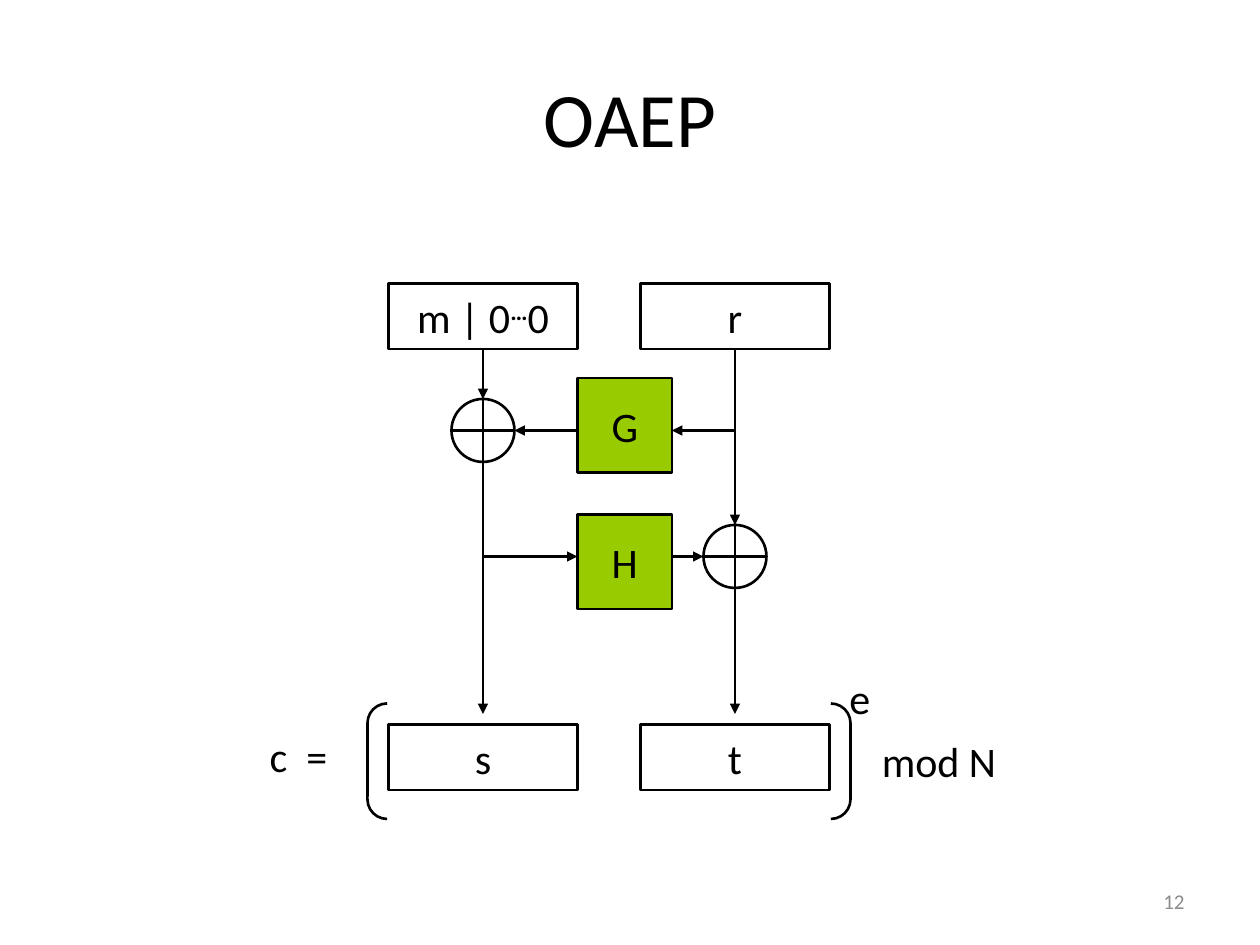
from lxml import etree
from pptx import Presentation
from pptx.dml.color import RGBColor
from pptx.enum.shapes import MSO_CONNECTOR, MSO_SHAPE
from pptx.enum.text import MSO_ANCHOR, PP_ALIGN
from pptx.oxml.ns import qn
from pptx.util import Inches, Pt

RECT, OVAL, PAIR = MSO_SHAPE.RECTANGLE, MSO_SHAPE.OVAL, MSO_SHAPE.DOUBLE_BRACKET
LINE = MSO_CONNECTOR.STRAIGHT
LEFT, MID, RIGHT = PP_ALIGN.LEFT, PP_ALIGN.CENTER, PP_ALIGN.RIGHT
TOP, HALF = MSO_ANCHOR.TOP, MSO_ANCHOR.MIDDLE

THEME = {
    "font": "Calibri",
    "ink": RGBColor.from_string("000000"),
    "gray": RGBColor.from_string("8C8C8C"),
    "white": RGBColor.from_string("FFFFFF"),
    "green": RGBColor.from_string("99CC00"),
    "head": Pt(44),
    "body": Pt(24),
    "foot": Pt(12),
    "line": Pt(1.5),
}

deck = Presentation()
deck.slide_width, deck.slide_height = Inches(10), Inches(7.5)
slide = deck.slides.add_slide(deck.slide_layouts[6])
parts = slide.shapes
CELL = deck.slide_width / 120


def write(shape, runs, size="body", ink="ink", side=MID, hold=HALF, wrap=True):
    frame = shape.text_frame
    for key, val in {"word_wrap": wrap, "vertical_anchor": hold}.items():
        setattr(frame, key, val)
    para = frame.paragraphs[0]
    para.alignment = side
    for text, marks in runs:
        run = para.add_run()
        run.text = text
        for key, val in {"name": THEME["font"], "size": THEME[size]}.items():
            setattr(run.font, key, val)
        run.font.color.rgb = THEME[ink]
        for key, val in marks.items():
            run._r.get_or_add_rPr().set(key, val)


def wire(start, end, tip=False):
    line = parts.add_connector(LINE, *[round(n * CELL) for n in start + end])
    line.line.width = THEME["line"]
    line.line.color.rgb = THEME["ink"]
    if tip:
        etree.SubElement(line.line._get_or_add_ln(), qn("a:tailEnd"), type="triangle")
    etree.SubElement(line._element.spPr, qn("a:effectLst"))
    return line


COL_M, COL_R = 46, 70
ROW_G, ROW_H = 41, 53
ROW_IN, ROW_OUT, ROW_END = 27, 69, 68
WIDE, TALL, SIDE, RAD = 18, 6.25, 9, 3
BLOCK = 55
BASE = ROW_IN + TALL

labels = [
    ((6, 3.6, 108, 15), [("OAEP", {})], {"size": "head"}),
    ((86, 83.4, 28, 4.8), [("12", {})], {"size": "foot", "ink": "gray", "side": RIGHT}),
]
note = {"side": LEFT, "hold": TOP, "wrap": False}
labels += [
    ((79.7, 63.5, 4.4, 6), [("e", {})], note),
    ((82.8, 69.5, 13.4, 6), [("mod N", {})], note),
    ((24.5, 69, 8.9, 6), [("c", {}), (" ", {"spc": "540"}), ("=", {})], note),
]
for area, runs, look in labels:
    write(parts.add_textbox(*[round(n * CELL) for n in area]), runs, **look)

padded = [("m | 0", {}), ("…", {"b": "1", "baseline": "30000"}), ("0", {})]
nodes = [
    (RECT, (col - WIDE / 2, row, WIDE, TALL), "white", runs)
    for col, row, runs in [
        (COL_M, ROW_IN, padded),
        (COL_R, ROW_IN, [("r", {})]),
        (COL_M, ROW_OUT, [("s", {})]),
        (COL_R, ROW_OUT, [("t", {})]),
    ]
]
nodes += [
    (RECT, (BLOCK, row, SIDE, SIDE), "green", [(name, {})])
    for name, row in [("G", 36), ("H", 49)]
]
rings = [(COL_M, ROW_G), (COL_R, ROW_H)]
nodes += [
    (OVAL, (col - RAD, row - RAD, 2 * RAD, 2 * RAD), "white", [])
    for col, row in rings
]
nodes.append((PAIR, (35, 67, 46, 11), None, []))

made = []
for kind, area, fill, runs in nodes:
    shape = parts.add_shape(kind, *[round(n * CELL) for n in area])
    shape.shadow.inherit = False
    if fill:
        shape.fill.solid()
        shape.fill.fore_color.rgb = THEME[fill]
    else:
        shape.fill.background()
        shape.adjustments[0] = 0.17
    shape.line.color.rgb = THEME["ink"]
    shape.line.width = THEME["line"]
    if runs:
        write(shape, runs)
    made.append(shape)

for col, row in rings:
    wire((col - RAD, row), (col + RAD, row))
    wire((col, row - RAD), (col, row + RAD))

drop = wire((COL_M, BASE), (COL_M, ROW_G - RAD), True)
drop.begin_connect(made[0], 2)
stem = wire((COL_R, BASE), (COL_R, ROW_G))
stem.begin_connect(made[1], 2)

for start, end, tip in [
    ((COL_R, ROW_G), (BLOCK + SIDE, ROW_G), True),
    ((BLOCK, ROW_G), (COL_M + RAD, ROW_G), True),
    ((COL_R, ROW_G), (COL_R, ROW_H - RAD), True),
    ((COL_M, ROW_G + RAD), (COL_M, ROW_H), False),
    ((COL_M, ROW_H), (BLOCK, ROW_H), True),
    ((BLOCK + SIDE, ROW_H), (COL_R - RAD, ROW_H), True),
    ((COL_M, ROW_H), (COL_M, ROW_END), True),
    ((COL_R, ROW_H + RAD), (COL_R, ROW_END), True),
]:
    wire(start, end, tip)

deck.save("out.pptx")
